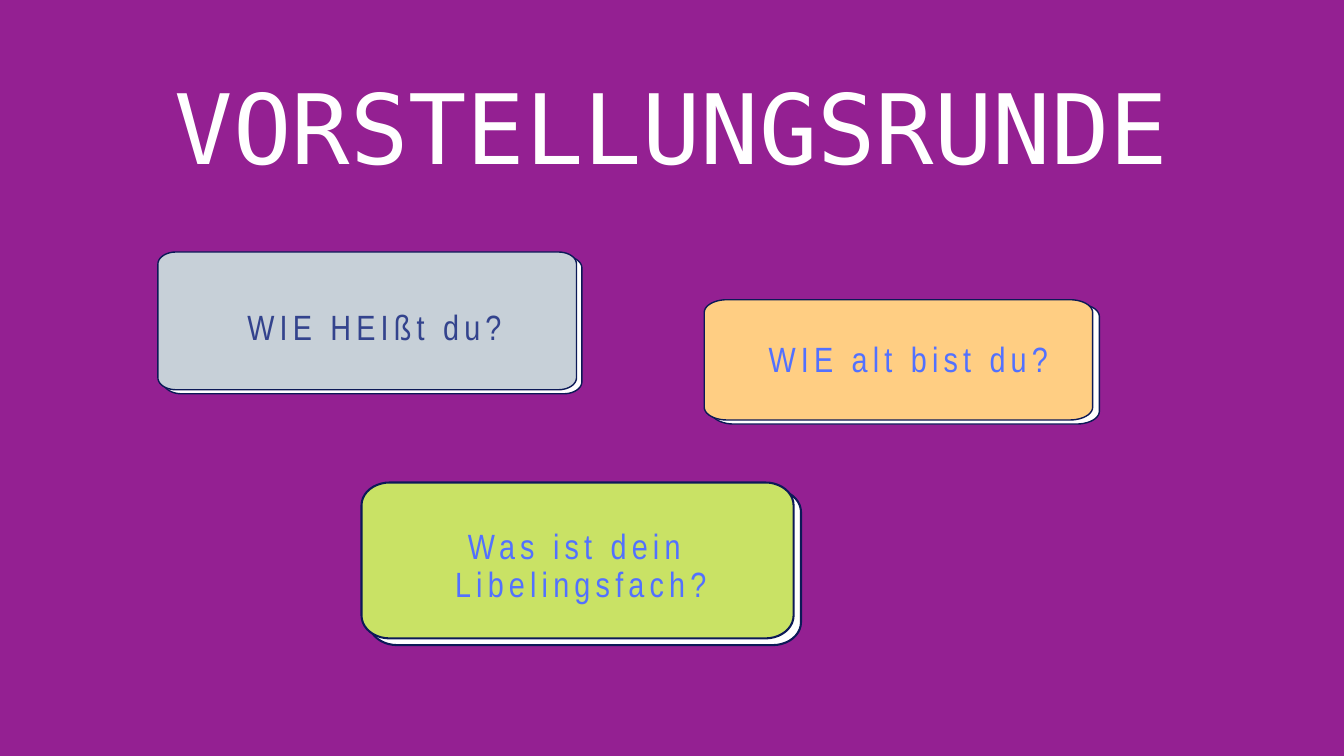
import math
from dataclasses import dataclass

import pptx
import pptx.dml.color
import pptx.enum.text
import pptx.util


@dataclass(frozen=True)
class Theme:
    """Colours, fonts and type sizes of the deck."""
    ground: str = "942092"
    paper: str = "FFFFFF"
    ink: str = "0C1957"
    grey: str = "C7D0D8"
    orange: str = "FFCE83"
    green: str = "C9E265"
    navy: str = "33438D"
    blue: str = "5271FF"
    title_font: str = "DejaVu Sans Mono"
    question_font: str = "Arial Narrow"
    title_size: float = 104
    question_size: float = 37.6
    leading: float = 1.1
    tracking: float = 5.6


def rgb(colour):
    return pptx.dml.color.RGBColor.from_string(colour)


def style(target, values):
    for name, value in values.items():
        setattr(target, name, value)


class Board:
    """Holds the style and the current slide; the grid has one-inch cells."""
    COLUMNS, ROWS = 20, 11.25
    CORNER_STEPS = 10

    def __init__(self, theme):
        self.theme = theme
        self.deck = pptx.Presentation()
        style(self.deck, {"slide_width": self.cells(self.COLUMNS),
                          "slide_height": self.cells(self.ROWS)})
        self.slide = self.deck.slides.add_slide(self.deck.slide_layouts[5])
        ground = self.slide.background.fill
        ground.solid()
        ground.fore_color.rgb = rgb(theme.ground)

    @staticmethod
    def cells(count):
        return pptx.util.Inches(count)

    def lettering(self, holder, lines, size, font, colour, tracking=0):
        frame = holder.text_frame
        style(frame, {
            "margin_left": 0, "margin_right": 0,
            "margin_top": 0, "margin_bottom": 0,
            "word_wrap": True,
            "auto_size": pptx.enum.text.MSO_AUTO_SIZE.NONE,
            "vertical_anchor": pptx.enum.text.MSO_ANCHOR.TOP,
        })
        for number, line in enumerate(lines):
            paragraph = frame.add_paragraph() if number else frame.paragraphs[0]
            style(paragraph, {
                "alignment": pptx.enum.text.PP_ALIGN.CENTER,
                "line_spacing": pptx.util.Pt(size * self.theme.leading),
            })
            run = paragraph.add_run()
            run.text = line
            style(run.font, {"size": pptx.util.Pt(size), "name": font})
            run.font.color.rgb = rgb(colour)
            if tracking:
                run._r.get_or_add_rPr().set("spc", str(round(tracking * 100)))

    def title(self, text, left, top, width, height):
        heading = self.slide.shapes.title
        style(heading, {"left": self.cells(left), "top": self.cells(top),
                        "width": self.cells(width), "height": self.cells(height)})
        self.lettering(heading, [text], self.theme.title_size,
                       self.theme.title_font, self.theme.paper)

    def panel(self, box, corner, colour, line_width):
        """Rectangle with elliptical corners, drawn clockwise."""
        left, top, width, height = box
        rx, ry = corner
        right, bottom = left + width - rx, top + height - ry
        centres = [(right, bottom), (left + rx, bottom),
                   (left + rx, top + ry), (right, top + ry)]
        outline = []
        for quarter, (cx, cy) in enumerate(centres):
            for step in range(self.CORNER_STEPS + 1):
                angle = math.pi / 2 * (quarter + step / self.CORNER_STEPS)
                outline.append((self.cells(cx + rx * math.cos(angle)),
                                self.cells(cy + ry * math.sin(angle))))
        builder = self.slide.shapes.build_freeform(*outline[0])
        builder.add_line_segments(outline[1:], close=True)
        panel = builder.convert_to_shape()
        panel.shadow.inherit = False
        panel.fill.solid()
        panel.fill.fore_color.rgb = rgb(colour)
        panel.line.width = pptx.util.Pt(line_width)
        panel.line.color.rgb = rgb(self.theme.ink)

    def card(self, lines, box, corner, offset, fill, colour, label, line_width):
        """Coloured card over a white one, with its question on top."""
        left, top, width, height = box
        behind = (left + offset[0], top + offset[1], width, height)
        self.panel(behind, corner, self.theme.paper, line_width)
        self.panel(box, corner, fill, line_width)
        question = self.slide.shapes.add_textbox(*map(self.cells, label))
        self.lettering(question, lines, self.theme.question_size,
                       self.theme.question_font, colour, self.theme.tracking)


def main():
    theme = Theme()
    board = Board(theme)

    # Heading
    board.title("VORSTELLUNGSRUNDE", 1.11, 1.15, 17.77, 1.62)

    # Questions for the introduction round
    questions = [
        {"lines": ["WIE alt bist du?"], "box": (10.48, 4.46, 5.78, 1.79),
         "corner": (0.34, 0.19), "offset": (0.1, 0.06), "line_width": 1.5,
         "fill": theme.orange, "colour": theme.blue,
         "label": (10.23, 5.08, 6.58, 0.59)},
        {"lines": ["WIE HEIßt du?"], "box": (2.35, 3.75, 6.23, 2.05),
         "corner": (0.27, 0.18), "offset": (0.08, 0.06), "line_width": 1.5,
         "fill": theme.grey, "colour": theme.navy,
         "label": (1.75, 4.59, 7.65, 0.59)},
        {"lines": ["Was ist dein ", "Libelingsfach?"],
         "box": (5.38, 7.18, 6.43, 2.32),
         "corner": (0.42, 0.34), "offset": (0.11, 0.1), "line_width": 2.2,
         "fill": theme.green, "colour": theme.blue,
         "label": (5.02, 7.85, 7.25, 1.16)},
    ]
    for question in questions:
        board.card(**question)

    board.deck.save("out.pptx")


if __name__ == "__main__":
    main()
